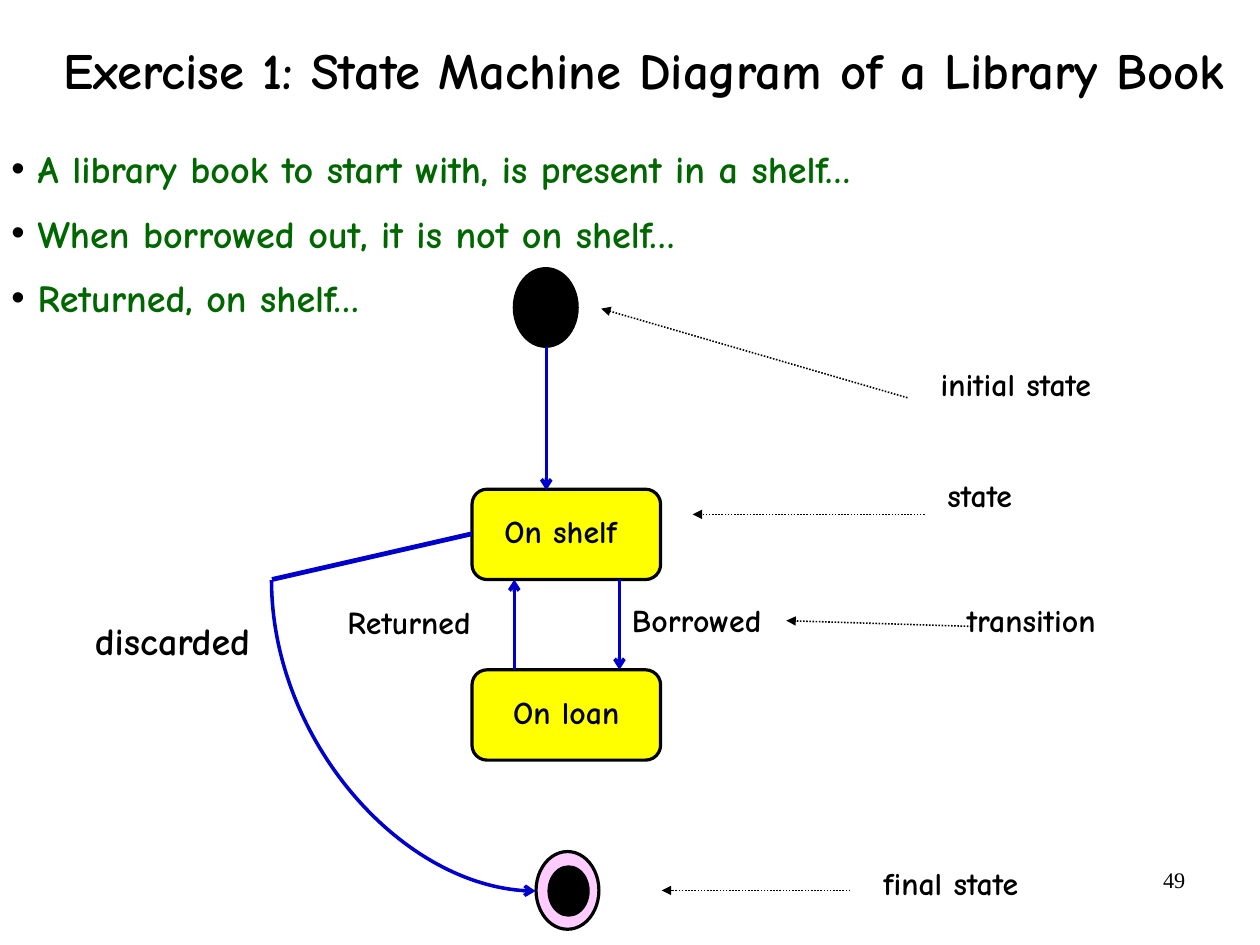
from lxml import etree
from pptx import Presentation
from pptx.dml.color import RGBColor
from pptx.enum.dml import MSO_LINE
from pptx.enum.shapes import MSO_CONNECTOR, MSO_SHAPE
from pptx.enum.text import MSO_ANCHOR, MSO_AUTO_SIZE, PP_ALIGN
from pptx.oxml.ns import qn
from pptx.util import Emu, Inches, Pt

STRAIGHT, CURVE = MSO_CONNECTOR.STRAIGHT, MSO_CONNECTOR.CURVE
DISC, ROUNDED = MSO_SHAPE.FLOWCHART_CONNECTOR, MSO_SHAPE.ROUNDED_RECTANGLE
DOTTED = MSO_LINE.ROUND_DOT
MIDDLE, TOP = MSO_ANCHOR.MIDDLE, MSO_ANCHOR.TOP
LEFT, CENTER, RIGHT = PP_ALIGN.LEFT, PP_ALIGN.CENTER, PP_ALIGN.RIGHT
NO_FIT = MSO_AUTO_SIZE.NONE
FONT = "Comic Neue"
BLACK, BLUE, GREEN, YELLOW, PINK = "000000", "0000CC", "006600", "FFFF00", "FFCCFF"
color = RGBColor.from_string


def add_text(paragraph, text, size, hex_color=BLACK, font=FONT, bold=True):
    run = paragraph.add_run()
    run.text = text
    run.font.name = font
    run.font.size = Pt(size)
    run.font.bold = bold
    run.font.color.rgb = color(hex_color)


def add_line(kind, start, end, hex_color, width, head=None, dash=None):
    line = slide.shapes.add_connector(kind, *map(Inches, start + end))
    line.line.color.rgb = color(hex_color)
    line.line.width = Pt(width)
    if dash:
        line.line.dash_style = dash
    properties = line._element.spPr
    if head:
        etree.SubElement(properties.find(qn("a:ln")), qn("a:tailEnd"), type=head)
    etree.SubElement(properties, qn("a:effectLst"))
    return line


prs = Presentation()
prs.slide_width = Emu(10080625)
prs.slide_height = Emu(7559675)
slide = prs.slides.add_slide(prs.slide_layouts[1])

title = slide.shapes.title
title.left, title.top, title.width, title.height = map(Inches, (0.35, -0.03, 10.58, 1.37))
title.text_frame.auto_size = NO_FIT
title.text_frame.vertical_anchor = MIDDLE
heading = title.text_frame.paragraphs[0]
heading.alignment = CENTER
heading.line_spacing = 0.8
add_text(heading, "Exercise 1: State Machine Diagram of a Library Book", 32)

page_number = slide.shapes.add_textbox(*map(Inches, (7.9, 7.53, 2.57, 0.57)))
page_number.text_frame.word_wrap = True
page_number.text_frame.paragraphs[0].alignment = RIGHT
add_text(page_number.text_frame.paragraphs[0], "49", 14, font="Times New Roman", bold=False)

markers = [
    (4.5, 2.35, 0.55, 0.68, BLACK, True),
    (4.69, 7.45, 0.55, 0.68, PINK, True),
    (4.79, 7.57, 0.37, 0.45, BLACK, False),
]
for left, top, width, height, fill, outlined in markers:
    marker = slide.shapes.add_shape(DISC, *map(Inches, (left, top, width, height)))
    marker.shadow.inherit = False
    marker.fill.solid()
    marker.fill.fore_color.rgb = color(fill)
    if outlined:
        marker.line.color.rgb = color(BLACK)
        marker.line.width = Pt(2)
    else:
        marker.line.fill.background()

for name, top in [("On shelf ", 4.28), ("On loan", 5.86)]:
    state = slide.shapes.add_shape(ROUNDED, *map(Inches, (4.13, top, 1.65, 0.79)))
    state.shadow.inherit = False
    state.fill.solid()
    state.fill.fore_color.rgb = color(YELLOW)
    state.line.color.rgb = color(BLACK)
    state.line.width = Pt(2)
    state.text_frame.vertical_anchor = MIDDLE
    state_name = state.text_frame.paragraphs[0]
    state_name.alignment = CENTER
    state_name.line_spacing = 0.8
    add_text(state_name, name, 20)

transitions = [
    ((4.78, 3.04), (4.78, 4.29)),
    ((5.42, 5.07), (5.42, 5.86)),
    ((4.5, 5.86), (4.5, 5.07)),
]
for start, end in transitions:
    add_line(STRAIGHT, start, end, BLUE, 2.25, "arrow")

pointers = [
    ((7.94, 3.48), (5.26, 2.7)),
    ((8.09, 4.5), (6.06, 4.5)),
    ((8.5, 5.48), (6.88, 5.43)),
    ((7.44, 7.79), (5.79, 7.79)),
]
for start, end in pointers:
    add_line(STRAIGHT, start, end, BLACK, 1, "triangle", DOTTED)

add_line(STRAIGHT, (4.13, 4.67), (2.38, 5.07), BLUE, 3)
discard_curve = add_line(CURVE, (4.89, 5.28), (2.17, 7.59), BLUE, 2.25, "arrow")
curve_properties = discard_curve._element.spPr
curve_properties.find(qn("a:xfrm")).set("rot", str(270 * 60000))
curve_properties.find(qn("a:prstGeom")).set("prst", "curvedConnector2")

labels = [
    ("initial state", 8.12, 3.21, 2.54, 20),
    ("final state", 7.62, 7.57, 1.64, 20),
    ("state", 8.18, 4.18, 0.92, 20),
    ("transition", 8.35, 5.27, 1.5, 20),
    ("Borrowed", 5.42, 5.27, 1.46, 20),
    ("Returned", 2.93, 5.29, 1.42, 20),
    ("discarded", 0.72, 5.43, 1.83, 24),
]
for text, left, top, width, size in labels:
    label = slide.shapes.add_textbox(*map(Inches, (left, top, width, 0.38)))
    frame = label.text_frame
    frame.word_wrap = True
    frame.margin_left = frame.margin_right = Inches(0.11)
    frame.margin_top = frame.margin_bottom = Inches(0.05)
    frame.paragraphs[0].line_spacing = 0.8
    add_text(frame.paragraphs[0], text, size)

body = slide.placeholders[1]
body.left, body.top, body.width, body.height = map(Inches, (0, 1.22, 11.02, 1.65))
body.text_frame.auto_size = NO_FIT
body.text_frame.vertical_anchor = TOP
story = [
    "A library book to start with, is present in a shelf…",
    "When borrowed out, it is not on shelf…",
    "Returned, on shelf…",
]
for index, sentence in enumerate(story):
    point = body.text_frame.add_paragraph() if index else body.text_frame.paragraphs[0]
    point.alignment = LEFT
    point.space_before = Pt(6 if index else 0)
    point.space_after = Pt(6)
    layout = point._p.get_or_add_pPr()
    layout.set("marL", str(Inches(0.23)))
    layout.set("indent", str(Inches(-0.23)))
    bullet_color = etree.SubElement(layout, qn("a:buClr"))
    etree.SubElement(bullet_color, qn("a:srgbClr"), val=BLACK)
    etree.SubElement(layout, qn("a:buFont"), typeface="Arial")
    etree.SubElement(layout, qn("a:buChar"), char="•")
    add_text(point, sentence, 24, GREEN)

prs.save("out.pptx")
